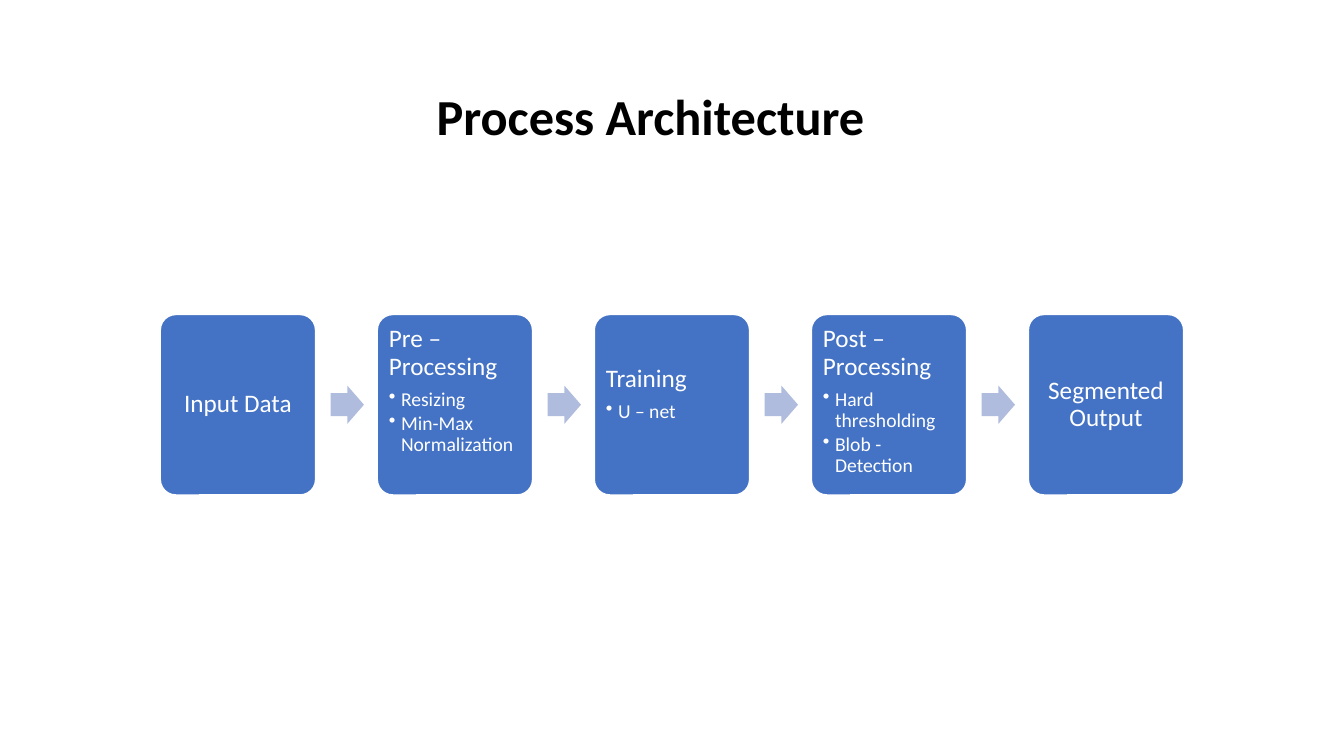
from dataclasses import dataclass

from lxml import etree
from pptx import Presentation
from pptx import util as u
from pptx.dml.color import RGBColor
from pptx.enum import shapes, text
from pptx.oxml import ns


@dataclass(frozen=True)
class Theme:
    """Colours, font and type sizes of the slide."""
    font: str = "Calibri"
    ink: str = "000000"
    paper: str = "FFFFFF"
    stage: str = "4472C4"
    arrow: str = "B0BCDE"
    title_size: int = 36
    heading_size: int = 18
    bullet_size: int = 14


STAGES = [
    ("Input Data", []),
    ("Pre – Processing", ["Resizing", "Min-Max Normalization"]),
    ("Training", ["U – net"]),
    ("Post – Processing", ["Hard thresholding", "Blob - Detection"]),
    ("Segmented Output", []),
]
FIRST_LEFT, LAST_LEFT = 1.59, 10.2
PITCH = (LAST_LEFT - FIRST_LEFT) / (len(STAGES) - 1)
STAGE_TOP, STAGE_WIDTH, STAGE_HEIGHT = 3.12, 1.54, 1.79
ARROW_OFFSET, ARROW_WIDTH, ARROW_HEIGHT = 1.69, 0.33, 0.38
INSET, SINGLE_BULLET_DROP = 0.07, 0.39
BULLET_INDENT = 0.12


def apply(target, values):
    """Set every attribute named in a dict of format values."""
    for name, value in values.items():
        setattr(target, name, value)


class ProcessSlide:
    """Draws styled elements on one slide."""

    def __init__(self, slide, theme):
        """Keep the slide and its theme."""
        self.slide = slide
        self.theme = theme

    def add_text(self, paragraph, wording, size, colour, bold=False, **layout):
        """Add a formatted run to a paragraph."""
        apply(paragraph, layout)
        run = paragraph.add_run()
        run.text = wording
        apply(run.font, {"name": self.theme.font, "size": u.Pt(size), "bold": bold})
        run.font.color.rgb = RGBColor.from_string(colour)

    def title(self, wording, left, top, width, height):
        """Move and fill the title placeholder."""
        title = self.slide.shapes.title
        apply(title, {"left": u.Inches(left), "top": u.Inches(top),
                      "width": u.Inches(width), "height": u.Inches(height)})
        apply(title.text_frame, {"word_wrap": True,
                                 "vertical_anchor": text.MSO_ANCHOR.TOP,
                                 "auto_size": text.MSO_AUTO_SIZE.SHAPE_TO_FIT_TEXT})
        self.add_text(title.text_frame.paragraphs[0], wording, self.theme.title_size,
                      self.theme.ink, bold=True, alignment=text.PP_ALIGN.LEFT)

    def block(self, kind, left, top, width, height, fill, adjustments):
        """Add a filled preset shape without outline."""
        shape = self.slide.shapes.add_shape(
            kind, u.Inches(left), u.Inches(top), u.Inches(width), u.Inches(height))
        for index, value in enumerate(adjustments):
            shape.adjustments[index] = value
        shape.shadow.inherit = False
        shape.fill.solid()
        shape.fill.fore_color.rgb = RGBColor.from_string(fill)
        shape.line.fill.background()
        return shape

    def bullet(self, paragraph, wording):
        """Add a bulleted paragraph with a hanging indent."""
        self.add_text(paragraph, wording, self.theme.bullet_size, self.theme.paper,
                      level=1, alignment=text.PP_ALIGN.LEFT, line_spacing=0.9,
                      space_after=u.Pt(2.1))
        properties = paragraph._p.get_or_add_pPr()
        indent = u.Inches(BULLET_INDENT)
        properties.set("marL", str(indent))
        properties.set("indent", str(-indent))
        etree.SubElement(properties, ns.qn("a:buChar")).set("char", "•")

    def stage(self, left, heading, bullets):
        """Add a rounded stage box with heading and bullets."""
        shape = self.block(shapes.MSO_SHAPE.ROUNDED_RECTANGLE, left, STAGE_TOP,
                           STAGE_WIDTH, STAGE_HEIGHT, self.theme.stage, [0.1])
        shape.line.color.rgb = RGBColor.from_string(self.theme.paper)
        shape.line.width = u.Pt(1)
        frame = shape.text_frame
        inset = u.Inches(INSET)
        drop = SINGLE_BULLET_DROP if len(bullets) == 1 else 0
        anchor = text.MSO_ANCHOR.TOP if bullets else text.MSO_ANCHOR.MIDDLE
        alignment = text.PP_ALIGN.LEFT if bullets else text.PP_ALIGN.CENTER
        apply(frame, {"word_wrap": True, "vertical_anchor": anchor,
                      "margin_left": inset, "margin_right": inset,
                      "margin_top": u.Inches(INSET + drop), "margin_bottom": inset})
        self.add_text(frame.paragraphs[0], heading, self.theme.heading_size,
                      self.theme.paper, alignment=alignment, line_spacing=0.9,
                      space_after=u.Pt(6.3))
        for wording in bullets:
            self.bullet(frame.add_paragraph(), wording)

    def arrow(self, left):
        """Add an arrow centred on the height of the stages."""
        top = STAGE_TOP + (STAGE_HEIGHT - ARROW_HEIGHT) / 2
        self.block(shapes.MSO_SHAPE.RIGHT_ARROW, left, top, ARROW_WIDTH,
                   ARROW_HEIGHT, self.theme.arrow, [0.6, 0.5])


def main():
    """Build and save the presentation."""
    presentation = Presentation()
    apply(presentation, {"slide_width": u.Inches(13.33), "slide_height": u.Inches(7.5)})
    slide = presentation.slides.add_slide(presentation.slide_layouts[5])
    process = ProcessSlide(slide, Theme())
    process.title("Process Architecture", 4.23, 0.79, 4.55, 0.71)
    for index, (heading, bullets) in enumerate(STAGES):
        left = FIRST_LEFT + index * PITCH
        process.stage(left, heading, bullets)
        if index < len(STAGES) - 1:
            process.arrow(left + ARROW_OFFSET)
    presentation.save("out.pptx")


if __name__ == "__main__":
    main()
